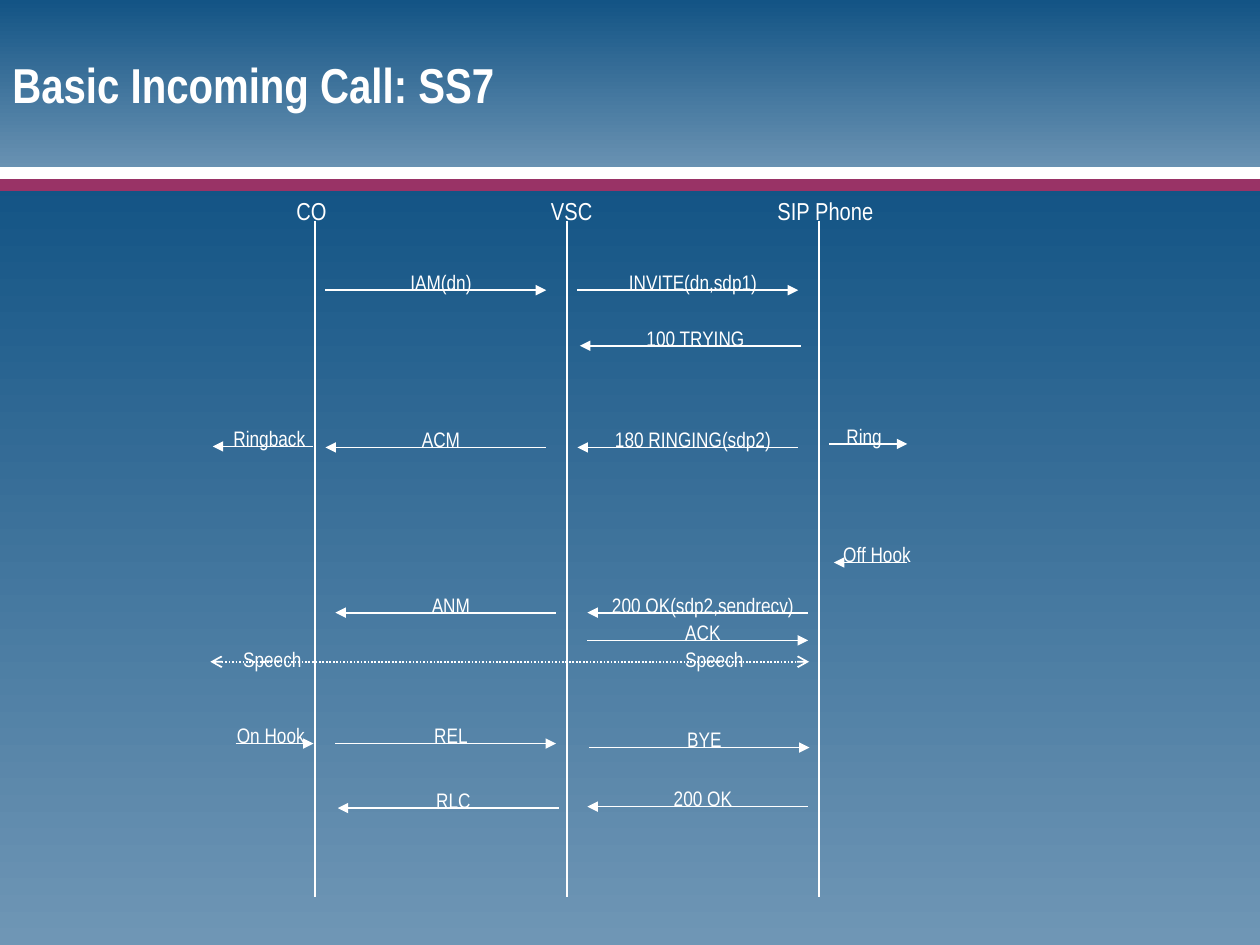
from lxml import etree
from pptx import Presentation
from pptx.dml.color import RGBColor
from pptx.enum import dml, shapes, text
from pptx.oxml import ns
from pptx.util import Cm, Pt

COLORS = {"backdrop": "969696", "deep": "135485", "pale": "6F96B5",
          "stripe": "993366", "white": "FFFFFF"}
FONT = "Arial Narrow"


def add_label(wording, left, top, width, height=0.76, size=12, wrap=False,
              align=text.PP_ALIGN.CENTER, bold=False):
    box = slide.shapes.add_textbox(Cm(left), Cm(top), Cm(width), Cm(height))
    frame = box.text_frame
    frame.word_wrap = wrap
    frame.vertical_anchor = text.MSO_ANCHOR.MIDDLE
    paragraph = frame.paragraphs[0]
    paragraph.text = wording
    paragraph.alignment = align
    paragraph.font.name = FONT
    paragraph.font.size = Pt(size)
    paragraph.font.bold = bold
    paragraph.font.color.rgb = RGBColor.from_string(COLORS["white"])


def add_line(x1, y1, x2, y2, head=None, tail=None, dash=None):
    connector = slide.shapes.add_connector(
        shapes.MSO_CONNECTOR.STRAIGHT, Cm(x1), Cm(y1), Cm(x2), Cm(y2))
    connector.line.color.rgb = RGBColor.from_string(COLORS["white"])
    connector.line.width = Pt(1)
    if dash:
        connector.line.dash_style = dash
    outline = connector.line._get_or_add_ln()
    for tag, kind in (("a:headEnd", head), ("a:tailEnd", tail)):
        if kind:
            etree.SubElement(outline, ns.qn(tag), type=kind)
    etree.SubElement(connector._element.spPr, ns.qn("a:effectLst"))


presentation = Presentation()
presentation.slide_width = Cm(25.4)
presentation.slide_height = Cm(19.05)
slide = presentation.slides.add_slide(presentation.slide_layouts[6])
background = slide.background.fill
background.solid()
background.fore_color.rgb = RGBColor.from_string(COLORS["backdrop"])

panels = [(3.61, 15.44, "deep", "pale"), (0, 3.61, "deep", "pale")]
for first_top, color in ((3.61, "stripe"), (3.37, "white")):
    panels += [(first_top + 0.06 * i, 0.06, color, None) for i in range(4)]
for top, height, color, end_color in panels:
    shape = slide.shapes.add_shape(
        shapes.MSO_SHAPE.RECTANGLE, 0, Cm(top), presentation.slide_width, Cm(height))
    shape.shadow.inherit = False
    shape.line.fill.background()
    if end_color:
        shape.fill.gradient()
        shape.fill.gradient_angle = 270
        for stop, name, position in zip(shape.fill.gradient_stops, (color, end_color), (0, 1)):
            stop.color.rgb = RGBColor.from_string(COLORS[name])
            stop.position = position
    else:
        shape.fill.solid()
        shape.fill.fore_color.rgb = RGBColor.from_string(COLORS[color])

add_label("Basic Incoming Call: SS7", 0, 0.2, 17.15, 2.97, 28, True,
          text.PP_ALIGN.LEFT, True)

participants = [("CO", 5.72, 1.12), ("VSC", 10.85, 1.35), ("SIP Phone", 15.42, 2.44)]
for i, (wording, left, width) in enumerate(participants):
    add_label(wording, left, 3.81, width, 0.86, 14)
    lifeline = 6.35 + 5.08 * i
    add_line(lifeline, 4.45, lifeline, 18.08)

messages = [
    ("IAM(dn)", 6.35, 5.31, "right"),
    ("INVITE(dn,sdp1)", 11.43, 5.31, "right"),
    ("100 TRYING", 11.48, 6.43, "left"),
    ("ACM", 6.35, 8.48, "left"),
    ("180 RINGING(sdp2)", 11.43, 8.48, "left"),
    ("ANM", 6.55, 11.81, "left"),
    ("200 OK(sdp2,sendrecv)", 11.63, 11.81, "left"),
    ("ACK", 11.63, 12.37, "right"),
    ("REL", 6.55, 14.45, "right"),
    ("BYE", 11.66, 14.53, "right"),
    ("RLC", 6.6, 15.75, "left"),
    ("200 OK", 11.63, 15.72, "left"),
]
for wording, left, top, direction in messages:
    add_label(wording, left, top, 5.08, wrap=True)
    start, y = left + 0.21, top + 0.54
    end_name = "tail" if direction == "right" else "head"
    add_line(start, y, start + 4.45, y, **{end_name: "triangle"})

events = [
    ("Ringback", 4.45, 8.46, 1.96, 6.3, 4.29),
    ("Ring", 16.81, 8.41, 1.22, 16.71, 18.29),
    ("Off Hook", 16.74, 10.8, 1.88, 18.29, 16.81),
    ("On Hook", 4.52, 14.45, 1.88, 4.75, 6.32),
]
for wording, left, top, width, start, end in events:
    add_label(wording, left, top, width)
    add_line(start, top + 0.54, end, top + 0.54, tail="triangle")

add_line(4.24, 13.34, 16.31, 13.34, "arrow", "arrow", dml.MSO_LINE.ROUND_DOT)
for left in (4.65, 13.56):
    add_label("Speech", left, 12.9, 1.68)

presentation.save("out.pptx")
